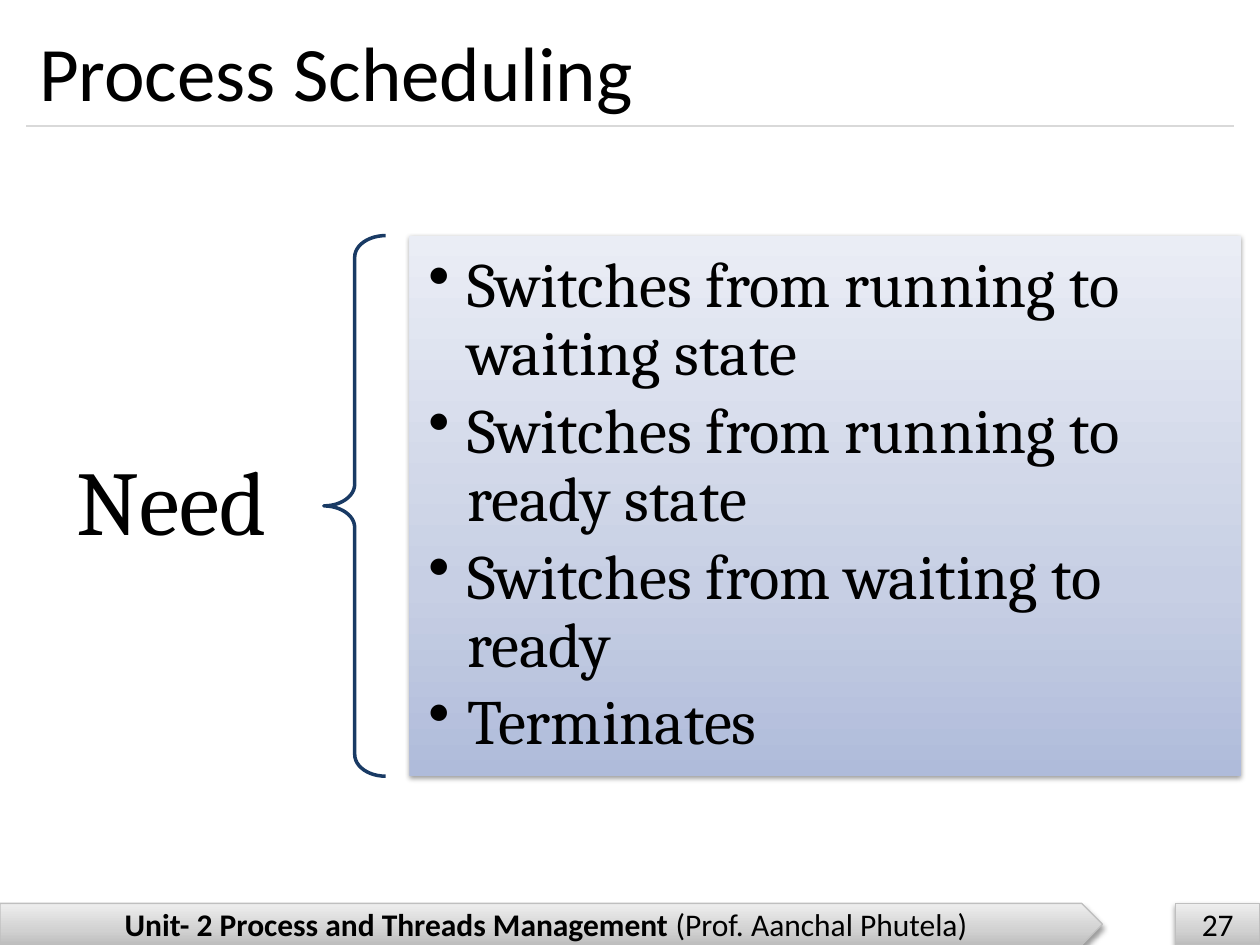
from lxml import etree
from pptx import Presentation
from pptx.dml.color import RGBColor
from pptx.enum.shapes import MSO_CONNECTOR, MSO_SHAPE
from pptx.enum.text import MSO_ANCHOR, PP_ALIGN
from pptx.oxml import parse_xml
from pptx.oxml.ns import nsdecls, qn
from pptx.util import Inches, Pt

RECTANGLE = MSO_SHAPE.RECTANGLE
PENTAGON = MSO_SHAPE.PENTAGON
LEFT_BRACE = MSO_SHAPE.LEFT_BRACE
STRAIGHT = MSO_CONNECTOR.STRAIGHT
MIDDLE = MSO_ANCHOR.MIDDLE
LEFT, CENTER = PP_ALIGN.LEFT, PP_ALIGN.CENTER

WIDTH, HEIGHT = 10, 7.5
MARGIN = 0.21
RULE_Y = 1
FOOTER_HEIGHT = 0.33
BODY_TOP, BODY_HEIGHT = 1.87, 4.29
LABEL_HEIGHT = 1.13

COLORS = {"text": "000000", "rule": "D9D9D9", "footer_line": "BFBFBF", "brace": "193A64"}
GRADIENTS = {
    "footer": ("BDBDBD", "D1D1D1", "EEEEEE"),
    "panel": ("AFBBDA", "C7CFE4", "EAEDF5"),
}
STOPS = (0, 35, 100)
REASONS = (
    "Switches from running to waiting state",
    "Switches from running to ready state",
    "Switches from waiting to ready",
    "Terminates",
)


def color(name):
    return RGBColor.from_string(COLORS[name])


def add_run(paragraph, text, font_name, size, bold=False):
    run = paragraph.add_run()
    run.text = text
    run.font.name = font_name
    run.font.size = Pt(size)
    run.font.bold = bold
    run.font.color.rgb = color("text")


def set_frame(shape, horizontal=0.1, vertical=0.05):
    frame = shape.text_frame
    frame.word_wrap = True
    frame.vertical_anchor = MIDDLE
    frame.margin_left = frame.margin_right = Inches(horizontal)
    frame.margin_top = frame.margin_bottom = Inches(vertical)
    return frame


def space_lines(paragraph, after_percent):
    properties = paragraph._p.get_or_add_pPr()
    space_after = etree.SubElement(properties, qn("a:spcAft"))
    etree.SubElement(space_after, qn("a:spcPct"), val=str(after_percent * 1000))
    paragraph.line_spacing = 0.9


def add_bullet(paragraph, indent):
    properties = paragraph._p.get_or_add_pPr()
    properties.set("marL", str(Inches(indent)))
    properties.set("indent", str(-Inches(indent)))
    etree.SubElement(properties, qn("a:buChar"), char="•")


def add_shape(slide, kind, left, top, width, height):
    shape = slide.shapes.add_shape(
        kind, Inches(left), Inches(top), Inches(width), Inches(height))
    shape.shadow.inherit = False
    return shape


def add_gradient_shape(slide, kind, left, top, width, height, gradient):
    shape = add_shape(slide, kind, left, top, width, height)
    stops = "".join(
        f'<a:gs pos="{position * 1000}"><a:srgbClr val="{value}"/></a:gs>'
        for position, value in zip(STOPS, GRADIENTS[gradient]))
    properties = shape._element.spPr
    properties.find(qn("a:prstGeom")).addnext(parse_xml(
        f'<a:gradFill {nsdecls("a")} rotWithShape="1"><a:gsLst>{stops}</a:gsLst>'
        '<a:lin ang="16200000" scaled="0"/></a:gradFill>'))
    properties.find(qn("a:effectLst")).append(parse_xml(
        f'<a:outerShdw {nsdecls("a")} blurRad="{Pt(3.1)}" dist="{Pt(1.6)}" '
        'dir="5400000" rotWithShape="0"><a:srgbClr val="000000">'
        '<a:alpha val="38000"/></a:srgbClr></a:outerShdw>'))
    return shape


def add_footer(slide, kind, left, width, parts):
    shape = add_gradient_shape(
        slide, kind, left, HEIGHT - FOOTER_HEIGHT, width, FOOTER_HEIGHT, "footer")
    shape.line.color.rgb = color("footer_line")
    shape.line.width = Pt(0.75)
    paragraph = set_frame(shape).paragraphs[0]
    paragraph.alignment = CENTER
    for text, bold in parts:
        add_run(paragraph, text, "Calibri", 18, bold)


def add_title(slide, text):
    title = slide.shapes.title
    title.left, title.top = Inches(MARGIN), Inches(0.12)
    title.width, title.height = Inches(WIDTH - 2 * MARGIN), Inches(RULE_Y - 0.12)
    paragraph = set_frame(title).paragraphs[0]
    paragraph.alignment = LEFT
    add_run(paragraph, text, "Calibri", 44)


def add_rule(slide):
    rule = slide.shapes.add_connector(
        STRAIGHT, Inches(MARGIN), Inches(RULE_Y), Inches(WIDTH - MARGIN), Inches(RULE_Y))
    rule.line.color.rgb = color("rule")
    rule.line.width = Pt(0.75)
    etree.SubElement(rule._element.spPr, qn("a:effectLst"))


def add_label(slide, text):
    top = BODY_TOP + (BODY_HEIGHT - LABEL_HEIGHT) / 2
    label = slide.shapes.add_textbox(
        Inches(0.15), Inches(top), Inches(2.43), Inches(LABEL_HEIGHT))
    paragraph = set_frame(label, 0.4, 0.14).paragraphs[0]
    paragraph.alignment = CENTER
    space_lines(paragraph, 35)
    add_run(paragraph, text, "Cambria", 52)


def add_brace(slide):
    brace = add_shape(slide, LEFT_BRACE, 2.57, BODY_TOP, 0.49, BODY_HEIGHT)
    brace.adjustments[0] = 0.35
    brace.adjustments[1] = 0.5
    brace.fill.background()
    brace.line.color.rgb = color("brace")
    brace.line.width = Pt(2)


def add_bullet_panel(slide, items):
    panel = add_gradient_shape(
        slide, RECTANGLE, 3.25, BODY_TOP, 6.6, BODY_HEIGHT, "panel")
    panel.line.fill.background()
    frame = set_frame(panel, 0.15, 0.15)
    for index, item in enumerate(items):
        paragraph = frame.add_paragraph() if index else frame.paragraphs[0]
        paragraph.alignment = LEFT
        paragraph.level = 1
        space_lines(paragraph, 15)
        add_bullet(paragraph, 0.31)
        add_run(paragraph, item, "Cambria", 36)


def main():
    presentation = Presentation()
    presentation.slide_width = Inches(WIDTH)
    presentation.slide_height = Inches(HEIGHT)
    slide = presentation.slides.add_slide(presentation.slide_layouts[5])

    add_title(slide, "Process Scheduling")
    add_rule(slide)
    add_label(slide, "Need")
    add_brace(slide)
    add_bullet_panel(slide, REASONS)
    add_footer(slide, PENTAGON, 0, 8.75, (
        ("Unit- 2 Process and Threads Management ", True),
        ("(Prof. Aanchal Phutela)", False),
    ))
    add_footer(slide, RECTANGLE, 9.33, 0.67, (("27", False),))

    presentation.save("out.pptx")


if __name__ == "__main__":
    main()
